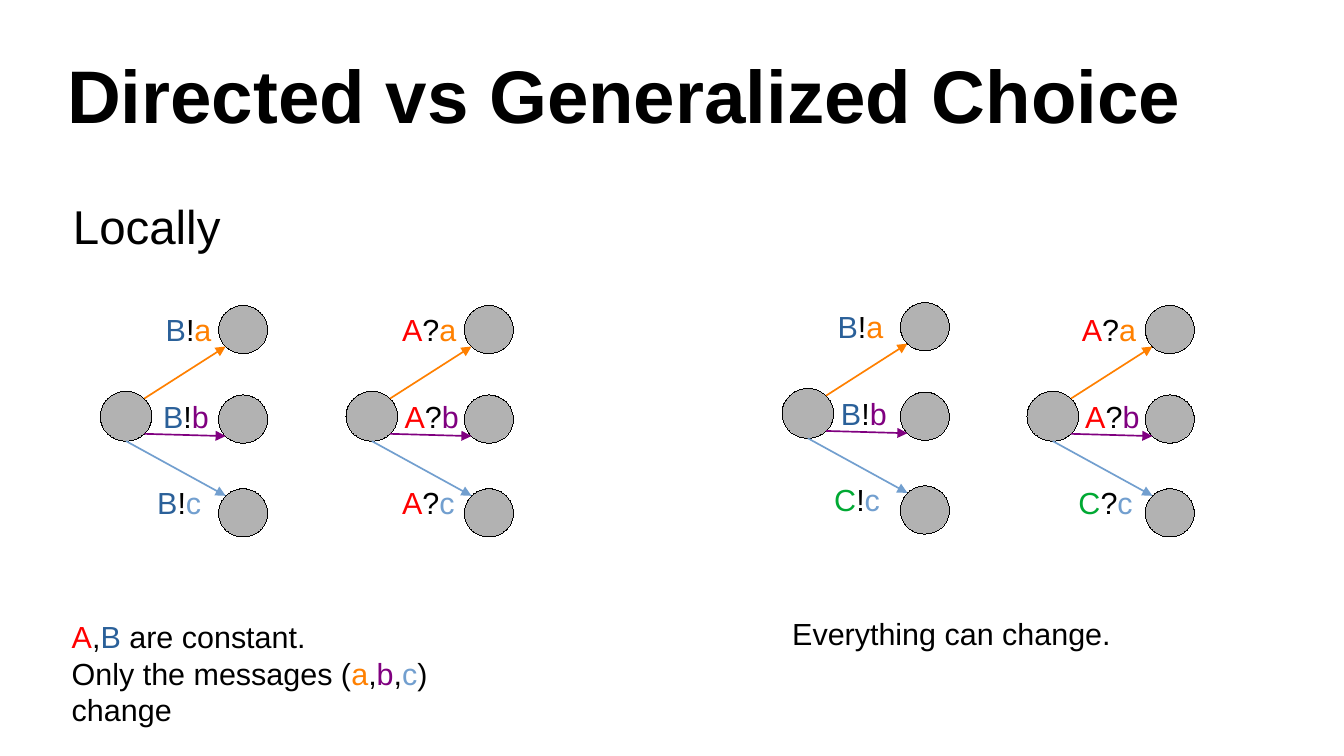
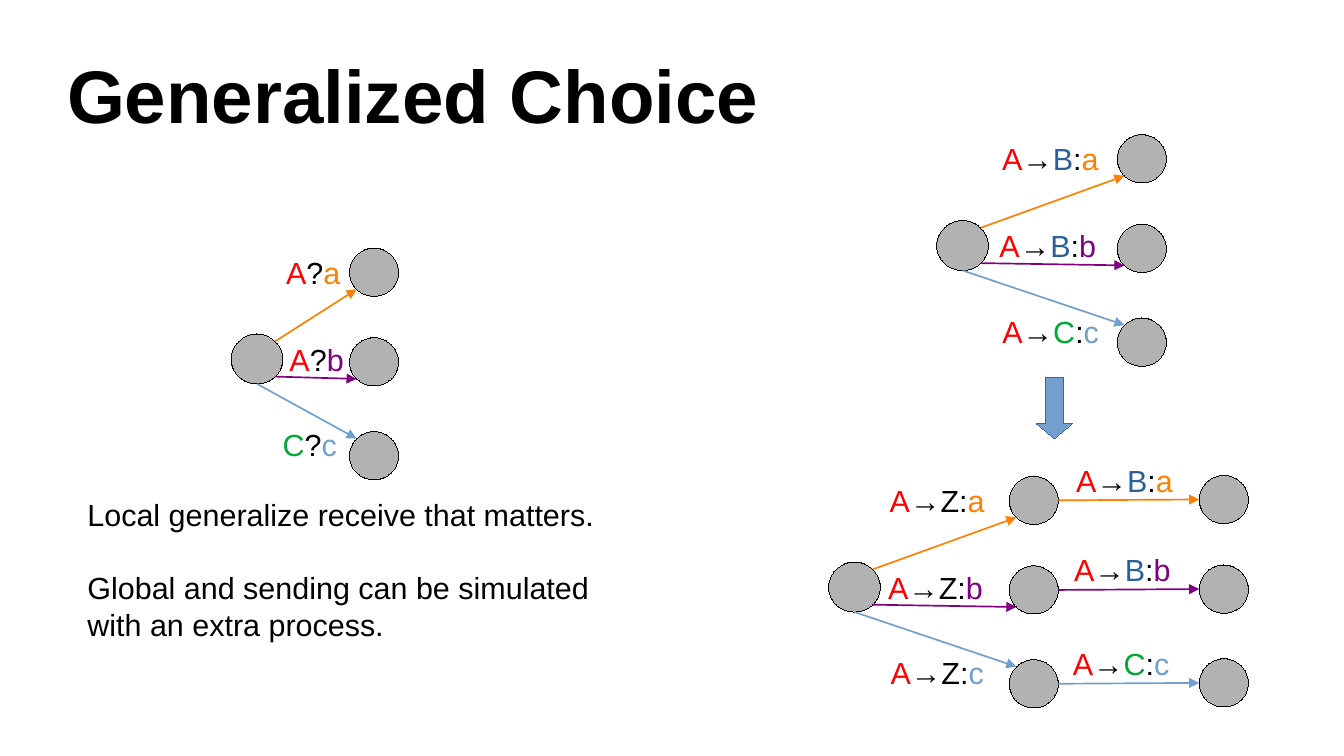
from itertools import groupby
from math import sqrt

from pptx import Presentation
from pptx.dml.color import RGBColor
from pptx.enum.shapes import MSO_CONNECTOR, MSO_SHAPE
from pptx.enum.text import MSO_ANCHOR, MSO_AUTO_SIZE
from pptx.oxml.ns import qn
from pptx.util import Pt
from lxml.etree import SubElement

FONT = "Arial"
BLACK = RGBColor(0x00, 0x00, 0x00)
STATE_GREY = RGBColor(0xB2, 0xB2, 0xB2)
RED = RGBColor(0xFF, 0x00, 0x00)
BLUE = RGBColor(0x2A, 0x60, 0x99)
GREEN = RGBColor(0x00, 0xA9, 0x33)
ORANGE = RGBColor(0xFF, 0x80, 0x00)
PURPLE = RGBColor(0x80, 0x00, 0x80)
SKY = RGBColor(0x72, 0x9F, 0xCF)
STEEL = RGBColor(0x34, 0x65, 0xA4)

NAME_COLOURS = {"A": RED, "B": BLUE, "C": GREEN,
                "a": ORANGE, "b": PURPLE, "c": SKY}
LABEL_WIDTHS = {"!": 41.3, "?": 46.3, "→": 71.5}
LABEL_HEIGHT = 27.5

SOURCE_SIZE = (30.5, 29.5)
TARGET_SIZE = (29, 28.5)
TARGET_RISES = (-50.7, 2.2, 57.6)
LABEL_RISES = (-51, 0.5, 51)
SHORT_REACH, LONG_REACH, STEP_REACH = 69.8, 106.6, 112.2
DIAGONAL = sqrt(0.5)
# Rim points, as fractions of the radius, where each branch leaves and arrives
BRANCH_ENDS = (
    ((DIAGONAL, -DIAGONAL), (-DIAGONAL, DIAGONAL)),
    ((DIAGONAL, DIAGONAL), (-DIAGONAL, DIAGONAL)),
    ((0, 1), (-DIAGONAL, -DIAGONAL)),
)


def add_runs(paragraph, parts, size, bold=False):
    """Write parts as runs; a part that is a participant or message gets its colour."""
    def colour_of(part):
        return NAME_COLOURS.get(part, BLACK)

    for colour, same in groupby(parts, colour_of):
        run = paragraph.add_run()
        run.text = "".join(same)
        run.font.name = FONT
        run.font.size = Pt(size)
        run.font.bold = bold
        run.font.color.rgb = colour


def add_text(slide, left, top, width, height, lines, size=18):
    frame = slide.shapes.add_textbox(Pt(left), Pt(top), Pt(width), Pt(height)).text_frame
    frame.word_wrap = False
    frame.auto_size = MSO_AUTO_SIZE.SHAPE_TO_FIT_TEXT
    for number, parts in enumerate(lines):
        paragraph = frame.add_paragraph() if number else frame.paragraphs[0]
        add_runs(paragraph, parts, size)
    return frame


def add_label(slide, left, top, label):
    add_text(slide, left, top, LABEL_WIDTHS[label[1]], LABEL_HEIGHT, [label])


def add_titled_slide(deck, title):
    slide = deck.slides.add_slide(deck.slide_layouts[6])
    frame = slide.shapes.add_textbox(Pt(39.6), Pt(18), Pt(714), Pt(75)).text_frame
    frame.word_wrap = True
    frame.vertical_anchor = MSO_ANCHOR.MIDDLE
    frame.margin_left = frame.margin_right = frame.margin_top = frame.margin_bottom = 0
    add_runs(frame.paragraphs[0], [title], 44, bold=True)
    return slide


def add_filled(slide, preset, left, top, size, fill, outline):
    """Add a filled shape with a hairline outline."""
    shape = slide.shapes.add_shape(preset, Pt(left), Pt(top), *map(Pt, size))
    shape.shadow.inherit = False
    shape.fill.solid()
    shape.fill.fore_color.rgb = fill
    shape.line.color.rgb = outline
    # line.width = 0 would drop the attribute and bring back the theme's width
    shape.line._get_or_add_ln().set("w", "0")
    return shape


def add_state(slide, left, top, size=TARGET_SIZE):
    return add_filled(slide, MSO_SHAPE.OVAL, left, top, size, STATE_GREY, BLACK)


def rim(state, direction):
    """Point of the state's ellipse in a direction given as radius fractions."""
    across, down = direction
    return (int(state.left + state.width * (1 + across) / 2),
            int(state.top + state.height * (1 + down) / 2))


def add_transition(slide, start, end, colour):
    arrow = slide.shapes.add_connector(MSO_CONNECTOR.STRAIGHT, *start, *end)
    arrow.line.color.rgb = colour
    arrow.line.width = Pt(1)
    SubElement(arrow.line._get_or_add_ln(), qn("a:tailEnd"), type="triangle")
    SubElement(arrow._element.spPr, qn("a:effectLst"))


def add_choice(slide, left, top, labels, label_lefts=(25.3, 27.3, 23.3), reach=SHORT_REACH):
    """Draw one state branching to three; return the three target states."""
    source = add_state(slide, left, top, SOURCE_SIZE)
    targets = []
    for label, shift, label_rise, rise, (leave, arrive) in zip(
            labels, label_lefts, LABEL_RISES, TARGET_RISES, BRANCH_ENDS):
        target = add_state(slide, left + reach, top + rise)
        add_transition(slide, rim(source, leave), rim(target, arrive),
                       NAME_COLOURS[label[-1]])
        add_label(slide, left + shift, top + label_rise, label)
        targets.append(target)
    return targets


def add_next_step(slide, state, label, label_shift):
    left, top = state.left.pt, state.top.pt
    following = add_state(slide, left + STEP_REACH, top - 0.5)
    add_transition(slide, rim(state, (1, 0)), rim(following, (-1, 0)),
                   NAME_COLOURS[label[-1]])
    add_label(slide, left + label_shift, top - 12, label)


def build_comparison(deck):
    slide = add_titled_slide(deck, "Directed vs Generalized Choice")
    add_text(slide, 36, 113, 101.5, 38, [["Locally"]], size=28)

    add_choice(slide, 59.2, 231, ("B!a", "B!b", "B!c"), (31.5, 30, 26.5))
    add_choice(slide, 204.3, 231, ("A?a", "A?b", "A?c"), (26, 27.5, 26))
    add_choice(slide, 461.7, 229.3, ("B!a", "B!b", "C!c"), (25.7, 27.7, 23.7))
    add_choice(slide, 606.3, 231, ("A?a", "A?b", "C?c"))

    add_text(slide, 35.3, 361.5, 288, 47.5, [
        ["A", ",", "B", " are constant."],
        ["Only the messages (", "a", ",", "b", ",", "c", ") change"],
    ])
    add_text(slide, 460.6, 359.7, 202.3, LABEL_HEIGHT, [["Everything can change."]])


def build_simulation(deck):
    slide = add_titled_slide(deck, "Generalized Choice")
    add_choice(slide, 136.5, 197.2, ("A?a", "A?b", "C?c"))
    claims = add_text(slide, 44.5, 289.4, 314, 88, [
        ["Local generalize receive that matters."],
        ["Global and sending can be simulated"],
        ["with an extra process."],
    ])
    claims.paragraphs[1].space_before = Pt(21.5)

    global_labels = ("A→B:a", "A→B:b", "A→C:c")
    add_choice(slide, 553, 130.2, global_labels, (31.5, 30, 31.7), LONG_REACH)
    becomes = add_filled(slide, MSO_SHAPE.DOWN_ARROW, 611.7, 222.7, (21.6, 36.3), SKY, STEEL)
    becomes.adjustments[0] = 0.5
    becomes.adjustments[1] = 0.417

    relayed = add_choice(slide, 489.2, 331.9, ("A→Z:a", "A→Z:b", "A→Z:c"),
                         (29, 28, 29.5), LONG_REACH)
    for state, label, shift in zip(relayed, global_labels, (32.5, 31.2, 30.5)):
        add_next_step(slide, state, label, shift)


def main():
    deck = Presentation()
    deck.slide_width, deck.slide_height = Pt(793.44), Pt(446.4)
    build_comparison(deck)
    build_simulation(deck)
    deck.save("out.pptx")


if __name__ == "__main__":
    main()
